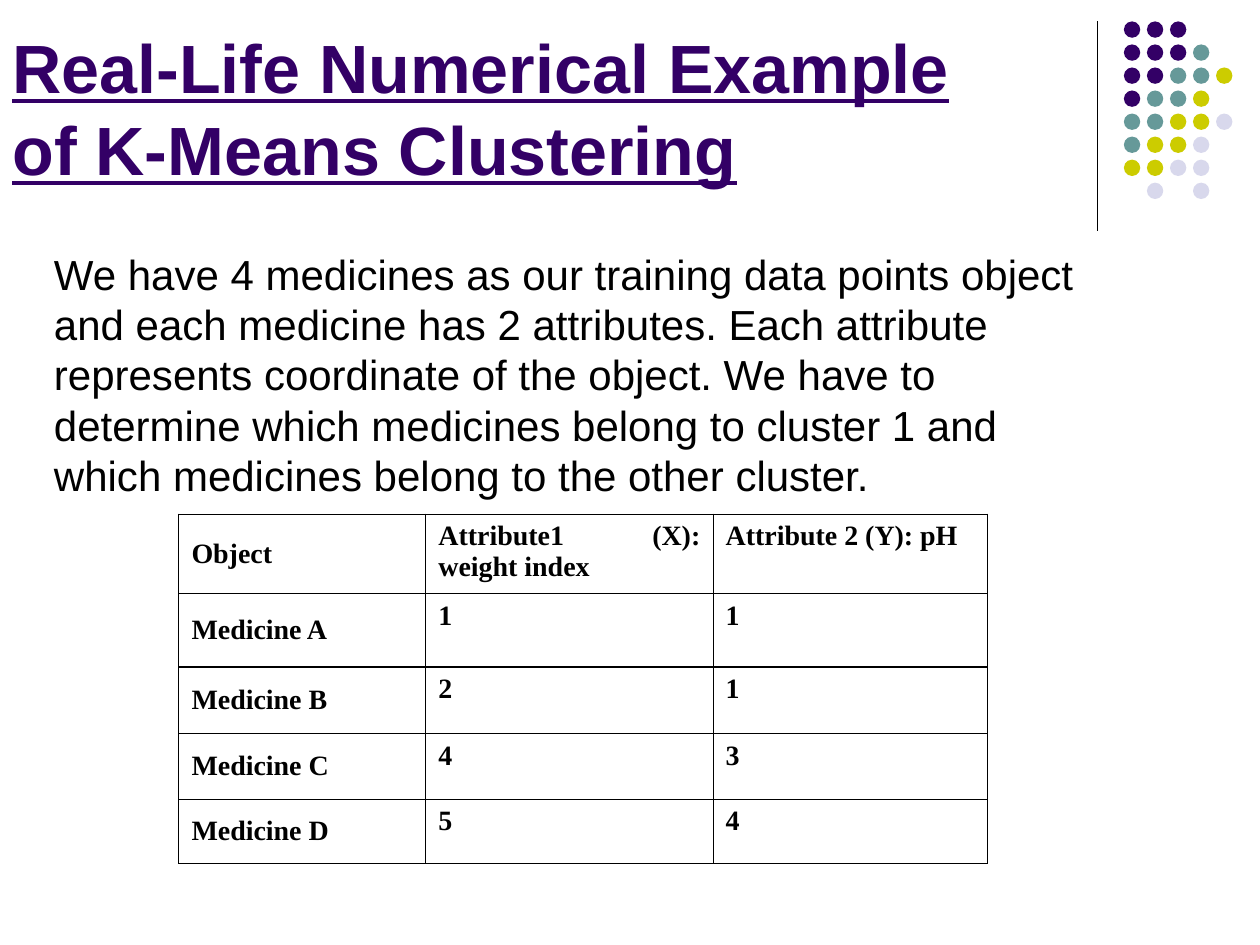
from lxml.etree import SubElement
from pptx import Presentation
from pptx.dml.color import RGBColor
from pptx.enum.shapes import MSO_CONNECTOR, MSO_SHAPE
from pptx.enum.text import MSO_ANCHOR, PP_ALIGN
from pptx.oxml.ns import qn
from pptx.util import Inches, Pt

COLORS = {
    "text": "000000",
    "purple": "330066",
    "teal": "669999",
    "olive": "CCCC00",
    "lavender": "D8D8EC",
}
TITLE_FONT = {"name": "Arial", "size": Pt(39), "bold": True, "underline": True}
BODY_FONT = {"name": "Arial", "size": Pt(24)}
TABLE_FONT = {"name": "Times New Roman", "size": Pt(16), "bold": True}

TITLE = "Real-Life Numerical Example of K-Means Clustering"
BODY = (
    "We have 4 medicines as our training data points object and each medicine "
    "has 2 attributes. Each attribute represents coordinate of the object. "
    "We have to determine which medicines belong to cluster 1 and which "
    "medicines belong to the other cluster."
)
MEDICINES = [
    ["Object", "Attribute1 (X): weight index", "Attribute 2 (Y): pH"],
    ["Medicine A", "1", "1"],
    ["Medicine B", "2", "1"],
    ["Medicine C", "4", "3"],
    ["Medicine D", "5", "4"],
]
COLUMN_WIDTHS = [1.96, 2.28, 2.18]
ROW_HEIGHTS = [0.63, 0.58, 0.53, 0.52, 0.51]

# One letter per dot: the first letter of its color, a space for no dot
DOT_ROWS = ["ppp", "pppt", "pptto", "ptto", "ttool", "tool", "ooll", " l l"]
DOT_COLORS = {name[0]: name for name in ("purple", "teal", "olive", "lavender")}
DOT_SIZE = 0.13
DOT_STEP = 1.28 / 7


class SlideBuilder:
    def __init__(self, page, colors):
        self.page = page
        self.colors = colors

    def color(self, name):
        return RGBColor.from_string(self.colors[name])

    def add_span(self, frame, text, font, color, alignment):
        paragraph = frame.paragraphs[0]
        paragraph.alignment = alignment
        span = paragraph.add_run()
        span.text = text
        for name, value in font.items():
            setattr(span.font, name, value)
        span.font.color.rgb = self.color(color)

    def text(self, area, text, font, color, anchor):
        box = self.page.shapes.add_textbox(*map(Inches, area))
        frame = box.text_frame
        frame.word_wrap = True
        frame.vertical_anchor = anchor
        self.add_span(frame, text, font, color, PP_ALIGN.LEFT)

    def line(self, start, end, color, width):
        line = self.page.shapes.add_connector(
            MSO_CONNECTOR.STRAIGHT, *map(Inches, start + end)
        )
        line.line.color.rgb = self.color(color)
        line.line.width = Pt(width)
        SubElement(line._element.spPr, qn("a:effectLst"))

    def dot(self, left, top, size, color):
        dot = self.page.shapes.add_shape(
            MSO_SHAPE.OVAL, *map(Inches, (left, top, size, size))
        )
        dot.shadow.inherit = False
        dot.fill.solid()
        dot.fill.fore_color.rgb = self.color(color)
        dot.line.fill.background()

    def border(self, cell, color, width):
        """Draw all four edges; they must come before the cell's fill."""
        properties = cell._tc.get_or_add_tcPr()
        for edge in ("a:lnL", "a:lnR", "a:lnT", "a:lnB"):
            line = SubElement(properties, qn(edge), w=str(Pt(width)))
            fill = SubElement(line, qn("a:solidFill"))
            SubElement(fill, qn("a:srgbClr"), val=self.colors[color])

    def table(self, left, top, widths, heights, rows, font, color):
        area = (left, top, sum(widths), sum(heights))
        table = self.page.shapes.add_table(
            len(rows), len(widths), *map(Inches, area)
        ).table
        table.first_row = table.horz_banding = False
        for column, width in zip(table.columns, widths):
            column.width = Inches(width)
        for row, height, texts in zip(table.rows, heights, rows):
            row.height = Inches(height)
            for index, (cell, text) in enumerate(zip(row.cells, texts)):
                self.border(cell, color, 0.75)
                cell.fill.background()
                cell.vertical_anchor = MSO_ANCHOR.TOP if index else MSO_ANCHOR.MIDDLE
                self.add_span(cell.text_frame, text, font, color, PP_ALIGN.JUSTIFY)


def main():
    deck = Presentation()
    deck.slide_width, deck.slide_height = Inches(10), Inches(7.5)
    builder = SlideBuilder(deck.slides.add_slide(deck.slide_layouts[6]), COLORS)

    builder.line((8.71, 0.17), (8.71, 1.83), "text", 0.75)
    for row, letters in enumerate(DOT_ROWS):
        for column, letter in enumerate(letters):
            if letter in DOT_COLORS:
                left, top = 8.92 + column * DOT_STEP, 0.17 + row * DOT_STEP
                builder.dot(left, top, DOT_SIZE, DOT_COLORS[letter])

    builder.text((0, 0.13, 8.25, 1.42), TITLE, TITLE_FONT, "purple", MSO_ANCHOR.BOTTOM)
    builder.text((0.33, 1.92, 8.58, 2.5), BODY, BODY_FONT, "text", MSO_ANCHOR.TOP)
    builder.table(
        1.42, 4.08, COLUMN_WIDTHS, ROW_HEIGHTS, MEDICINES, TABLE_FONT, "text"
    )
    deck.save("out.pptx")


if __name__ == "__main__":
    main()
